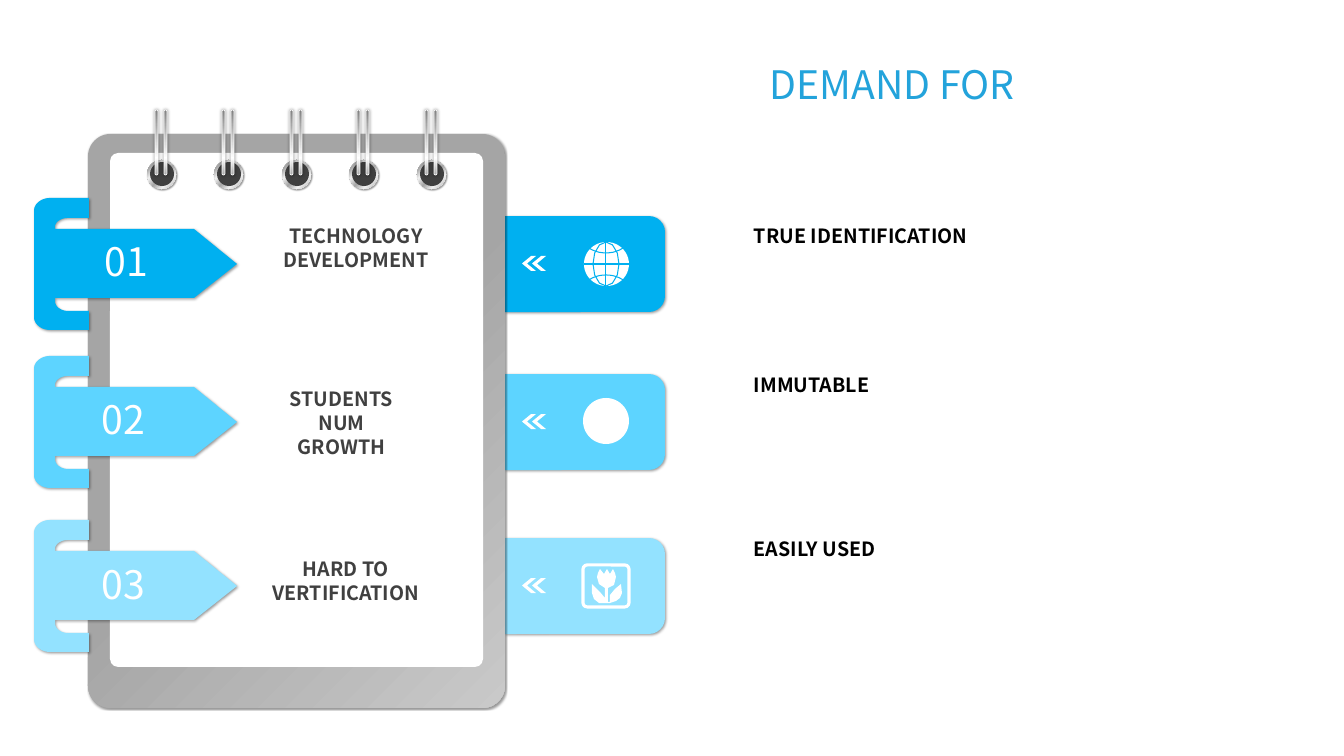
"""Build a slide with a ring notebook, three numbered tabs and three demands."""
import math
import pptx
import pptx.util
import pptx.oxml
import pptx.dml.color
import pptx.enum.shapes
import pptx.enum.text

px = 9071
font = "Noto Sans CJK SC"
kinds = pptx.enum.shapes.MSO_SHAPE
hues = {
    "white": "FFFFFF", "black": "000000", "dark": "404040", "title": "23A3DB",
    "deep": "00B0F0", "mid": "5DD4FF", "pale": "93E2FF",
    "gray": "A6A6A6", "steel": "A5A5A5", "ash": "C9C9C9",
    "light": "F2F2F2", "silver": "D9D9D9", "smoke": "808080",
}
board = ([(0, "ash"), (50, "steel")], '<a:path path="circle">'
         '<a:fillToRect l="100000" t="100000"/></a:path>')
metal = ([(0, "white"), (17, "gray"), (35, "light"), (55, "gray"),
          (75, "light"), (100, "gray")], '<a:lin ang="2700000" scaled="0"/>')
wire = ([(0, "smoke"), (23, "gray"), (52, "silver"), (74, "white"),
         (100, "gray")], '<a:lin ang="5400000" scaled="0"/>')
space = 'xmlns:a="http://schemas.openxmlformats.org/drawingml/2006/main"'

deck = pptx.Presentation()
deck.slide_width = 1344 * px
deck.slide_height = 756 * px
slide = deck.slides.add_slide(deck.slide_layouts[6])
shapes = slide.shapes


def paint(form, fill=None, line=None, width=1, cast=None):
    """Set fill, line and shadow; cast holds blur, distance and angle."""
    form.shadow.inherit = False
    props = form.element.spPr
    if fill is None:
        form.fill.background()
    elif isinstance(fill, str):
        form.fill.solid()
        form.fill.fore_color.rgb = pptx.dml.color.RGBColor.from_string(hues[fill])
    else:
        stops, way = fill
        marks = "".join(f'<a:gs pos="{pos * 1000}"><a:srgbClr val="{hues[hue]}"/></a:gs>'
                        for pos, hue in stops)
        form.fill.gradient()
        old = props.find(pptx.oxml.ns.qn("a:gradFill"))
        props.replace(old, pptx.oxml.parse_xml(
            f'<a:gradFill {space} rotWithShape="1"><a:gsLst>{marks}</a:gsLst>{way}</a:gradFill>'))
    if line:
        form.line.color.rgb = pptx.dml.color.RGBColor.from_string(hues[line])
        form.line.width = pptx.util.Pt(width)
    else:
        form.line.fill.background()
    if cast:
        blur, gap, turn = cast
        props.find(pptx.oxml.ns.qn("a:effectLst")).append(pptx.oxml.parse_xml(
            f'<a:outerShdw {space} blurRad="{blur * 12700}" dist="{gap * 12700}" '
            f'dir="{turn * 60000}" algn="ctr" rotWithShape="0">'
            '<a:srgbClr val="000000"><a:alpha val="40000"/></a:srgbClr></a:outerShdw>'))
    return form


def trace(steps, left, top, close=True):
    """Draw an outline of points (x, y) and arcs (x, y, rx, ry, start, end)."""
    dots = []
    for step in steps:
        if len(step) == 2:
            dots.append(step)
            continue
        x, y, wide, high, start, end = step
        for part in range(13):
            turn = math.radians(start + (end - start) * part / 12)
            dots.append((x + wide * math.cos(turn), y + high * math.sin(turn)))
    dots = [((left + x) * 10, (top + y) * 10) for x, y in dots]
    pen = shapes.build_freeform(*dots[0], scale=px / 10)
    pen.add_line_segments(dots[1:], close=close)
    return pen.convert_to_shape()


rows = [(198, "deep"), (356, "mid"), (520, "pale")]
soft = (2, 1, 45)
for top, hue in rows:
    flap = shapes.add_shape(kinds.ROUND_2_SAME_RECTANGLE,
                            537 * px, (top - 14) * px, 96 * px, 160 * px)
    flap.rotation = 90
    paint(flap, hue, cast=soft)

for x, y, wide, high, bend, fill, cast in [
        (88, 134, 417, 574, 0.054, board, (1, 1, 45)),
        (110, 153, 373, 514, 0.022, "white", None)]:
    sheet = shapes.add_shape(kinds.ROUNDED_RECTANGLE, x * px, y * px, wide * px, high * px)
    sheet.adjustments[0] = bend
    paint(sheet, fill, cast=cast)

for num in range(5):
    left = 147 + num * 135 // 2
    ring = shapes.add_shape(kinds.OVAL, left * px, 160 * px, 29 * px, 29 * px)
    paint(ring, metal, cast=(1, 1, 45))
    hole = shapes.add_shape(kinds.OVAL, (left + 3) * px, 162 * px, 24 * px, 24 * px)
    paint(hole, "dark")
    for shift in (17, 8):
        rod = shapes.add_shape(kinds.ROUNDED_RECTANGLE,
                               (left + shift) * px, 110 * px, 3 * px, 65 * px)
        rod.adjustments[0] = 0.5
        paint(rod, wire, "white", 0.5, (2, 0, 0))

clip = [(16, 0), (55, 0), (55, 20), (34, 29, 13, 9, 270, 180), (21, 31),
        (160, 31), (203, 66), (160, 100), (21, 100),
        (34, 103, 13, 10, 180, 90), (55, 113), (55, 132),
        (16, 119, 16, 13, 90, 180), (16, 13, 16, 13, 180, 270)]
for top, hue in rows:
    paint(trace(clip, 34, top), hue, cast=soft)
    for left in (522, 532):
        mark = shapes.add_shape(kinds.CHEVRON, left * px, (top + 58) * px, 14 * px, 15 * px)
        mark.adjustments[0] = 0.646
        mark.rotation = 180
        paint(mark, "white")

globe = shapes.add_shape(kinds.OVAL, 584 * px, 242 * px, 45 * px, 44 * px)
paint(globe, "white")
for arc in [(606, 264, 13, 22, 0, 360), (606, 236, 24, 17, 140, 40),
            (606, 292, 24, 17, 220, 320)]:
    paint(trace([arc], 0, 0, False), line="deep", width=0.75)
for ends in [(584, 264, 629, 264), (606, 242, 606, 286)]:
    rule = shapes.add_connector(pptx.enum.shapes.MSO_CONNECTOR.STRAIGHT,
                                *[end * px for end in ends])
    rule.line.color.rgb = pptx.dml.color.RGBColor.from_string(hues["deep"])
    rule.line.width = pptx.util.Pt(0.75)
    rule.element.spPr.append(pptx.oxml.parse_xml(f"<a:effectLst {space}/>"))

disc = shapes.add_shape(kinds.OVAL, 583 * px, 398 * px, 46 * px, 46 * px)
paint(disc, "white")

frame = shapes.add_shape(kinds.ROUNDED_RECTANGLE, 583 * px, 565 * px, 46 * px, 42 * px)
frame.adjustments[0] = 0.1
paint(frame, line="white", width=2.25)
bloom = [(25, 6), (22, 11), (18, 6), (16, 10), (15, 14), (17, 21), (23, 25),
         (23, 35), (18, 29), (10, 21), (10, 30), (12, 36), (17, 40), (28, 40),
         (34, 38), (38, 35), (40, 30), (39, 21), (33, 26), (28, 32), (28, 39),
         (26, 39), (26, 25), (32, 22), (34, 14), (33, 10), (31, 6), (28, 11)]
paint(trace(bloom, 582, 563), "white")

left = pptx.enum.text.PP_ALIGN.LEFT
mid = pptx.enum.text.PP_ALIGN.CENTER
lead = {14: 17, 28: 36}
for text, x, y, wide, high, size, hue, side in [
        ("01", 95, 229, 80, 57, 28, "white", left),
        ("02", 92, 387, 80, 57, 28, "white", left),
        ("03", 92, 552, 80, 57, 28, "white", left),
        ("TECHNOLOGY DEVELOPMENT", 224, 219, 264, 57, 14, "dark", mid),
        ("STUDENTS NUM GROWTH", 268, 382, 147, 82, 14, "dark", mid),
        ("HARD TO VERTIFICATION", 255, 552, 182, 57, 14, "dark", mid),
        ("TRUE IDENTIFICATION", 744, 219, 257, 34, 14, "black", left),
        ("IMMUTABLE", 744, 368, 238, 34, 14, "black", left),
        ("EASILY USED", 744, 532, 238, 34, 14, "black", left),
        ("DEMAND FOR", 760, 52, 289, 57, 28, "title", left)]:
    frame = shapes.add_textbox(x * px, y * px, wide * px, high * px).text_frame
    frame.word_wrap = True
    para = frame.paragraphs[0]
    para.text = text
    para.alignment = side
    para.line_spacing = pptx.util.Pt(lead[size])
    para.font.name = font
    para.font.size = pptx.util.Pt(size)
    para.font.bold = size == 14
    para.font.color.rgb = pptx.dml.color.RGBColor.from_string(hues[hue])

deck.save("out.pptx")
